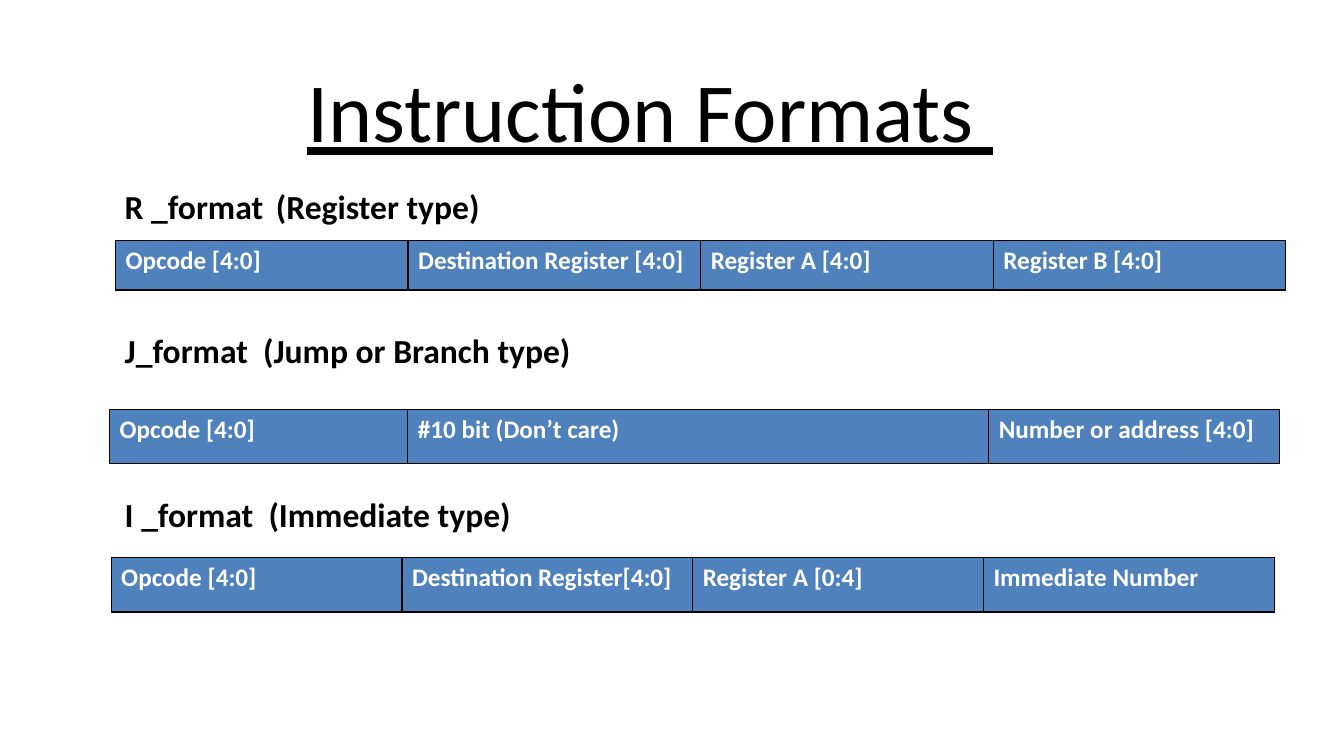
from lxml import etree
from pptx import Presentation
from pptx import util as u
from pptx.dml.color import RGBColor
from pptx.enum import text
from pptx.oxml import ns


def color(hex_string):
    return RGBColor.from_string(hex_string)


class FormatSlide:
    """Holds the style and the slide being drawn."""
    font = "Calibri"
    ink = "000000"
    cell_ink = "FFFFFF"
    cell_fill = "4F81BD"

    def __init__(self, presentation):
        self.slide = presentation.slides.add_slide(presentation.slide_layouts[6])

    def add_run(self, paragraph, words, size, ink, bold=False, underline=False):
        run = paragraph.add_run()
        run.text = words
        run.font.name = self.font
        run.font.size = u.Pt(size)
        run.font.bold = bold
        run.font.underline = underline
        run.font.color.rgb = color(ink)

    def text_box(self, left, top, width, height, words, size, **style):
        shape = self.slide.shapes.add_textbox(*map(u.Pt, (left, top, width, height)))
        shape.text_frame.word_wrap = True
        paragraph = shape.text_frame.paragraphs[0]
        self.add_run(paragraph, words, size, self.ink, **style)
        return paragraph

    def title(self, left, top, width, height, words):
        paragraph = self.text_box(left, top, width, height, words, 60, underline=True)
        paragraph.alignment = text.PP_ALIGN.CENTER

    def heading(self, left, top, width, words, tab=108):
        paragraph = self.text_box(left, top, width, 36, words, 24, bold=True)
        tabs = etree.SubElement(paragraph._p.get_or_add_pPr(), ns.qn("a:tabLst"))
        etree.SubElement(tabs, ns.qn("a:tab"), pos=str(u.Pt(tab)), algn="l")

    def border(self, cell):
        properties = cell._tc.get_or_add_tcPr()
        for position, side in enumerate(("lnL", "lnR", "lnT", "lnB")):
            line = etree.Element(ns.qn("a:" + side), w=str(u.Pt(1)))
            fill = etree.SubElement(line, ns.qn("a:solidFill"))
            etree.SubElement(fill, ns.qn("a:srgbClr"), val=self.ink)
            properties.insert(position, line)

    def field_table(self, left, top, height, fields):
        """Draw one row; fields are (name, width) pairs."""
        total = sum(width for _, width in fields)
        frame = self.slide.shapes.add_table(
            1, len(fields), *map(u.Pt, (left, top, total, height)))
        for index, (name, width) in enumerate(fields):
            frame.table.columns[index].width = u.Pt(width)
            cell = frame.table.cell(0, index)
            cell.fill.solid()
            cell.fill.fore_color.rgb = color(self.cell_fill)
            self.add_run(cell.text_frame.paragraphs[0], name, 18,
                         self.cell_ink, bold=True)
            self.border(cell)


def main():
    presentation = Presentation()
    presentation.slide_width, presentation.slide_height = u.Pt(960), u.Pt(540)
    page = FormatSlide(presentation)
    page.title(167.5, 38.2, 594, 80, "Instruction Formats ")

    # Register format
    page.heading(82, 129.6, 294, "R _format \t(Register type)")
    page.field_table(82.5, 171.7, 35.5, [(name, 209) for name in (
        "Opcode [4:0]", "Destination Register [4:0]",
        "Register A [4:0]", "Register B [4:0]")])

    # Jump format
    page.heading(82, 231.8, 395, "J_format  (Jump or Branch type)")
    page.field_table(78.3, 292.3, 39, [
        ("Opcode [4:0]", 213), ("#10 bit (Don’t care)", 415),
        ("Number or address [4:0]", 207.4)])

    # Immediate format
    page.heading(82, 349.2, 702, "I _format  (Immediate type)")
    page.field_table(79.4, 398.2, 39, [(name, 207.7) for name in (
        "Opcode [4:0]", "Destination Register[4:0]",
        "Register A [0:4]", "Immediate Number")])

    presentation.save("out.pptx")


if __name__ == "__main__":
    main()
